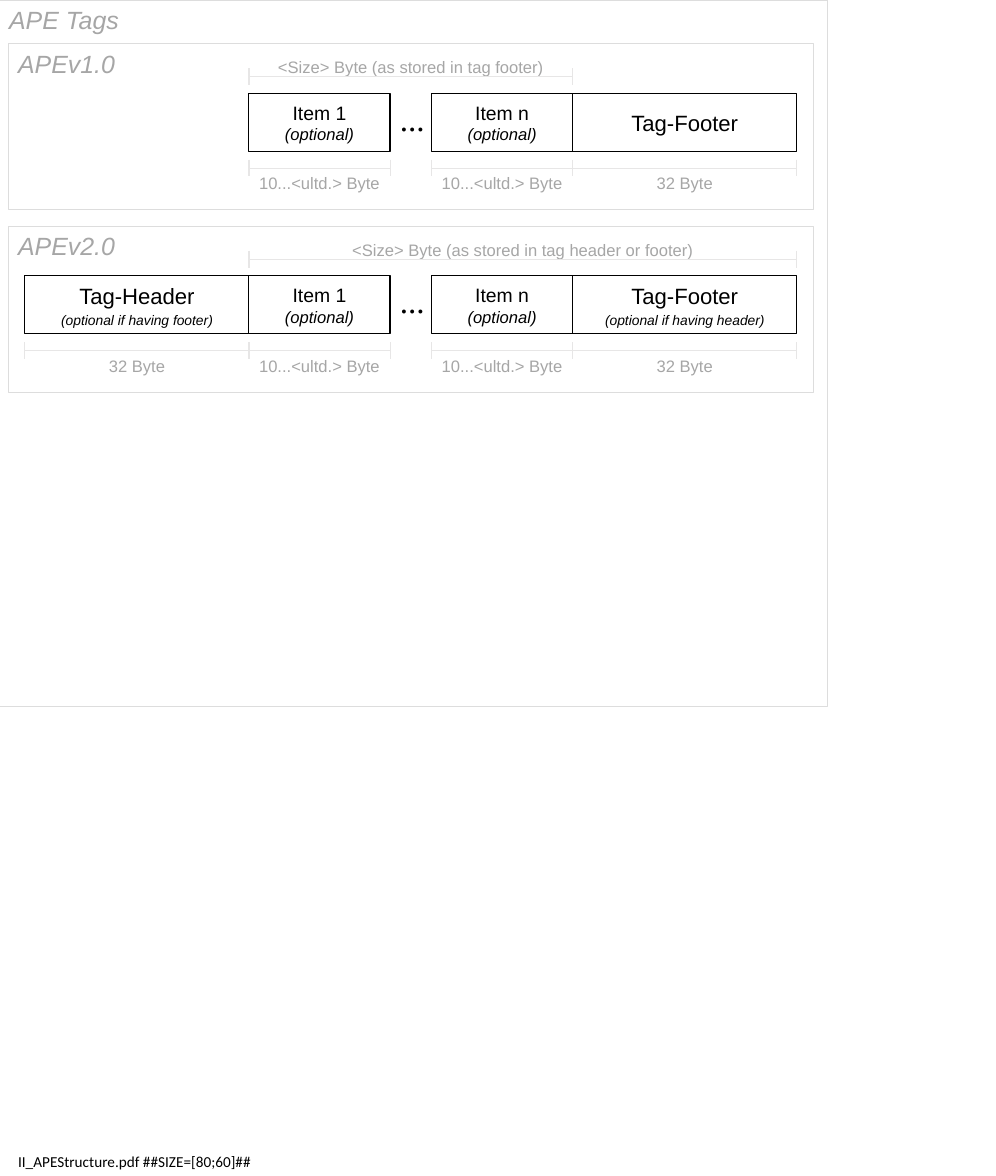
"""Build a slide comparing the byte layout of APE tags in versions 1.0 and 2.0."""
from lxml import etree
from pptx import Presentation
from pptx.dml.color import RGBColor
from pptx.enum.shapes import MSO_CONNECTOR, MSO_SHAPE
from pptx.enum.text import MSO_ANCHOR, MSO_AUTO_SIZE, PP_ALIGN
from pptx.oxml.ns import qn
from pptx.util import Inches, Pt

STRAIGHT, RECTANGLE = MSO_CONNECTOR.STRAIGHT, MSO_SHAPE.RECTANGLE
TOP, MIDDLE = MSO_ANCHOR.TOP, MSO_ANCHOR.MIDDLE
LEFT, CENTER = PP_ALIGN.LEFT, PP_ALIGN.CENTER
FIXED = MSO_AUTO_SIZE.NONE
COLORS = {"ink": "000000", "muted": "A6A6A6", "frame": "DDDDDD", "ruler": "E7E6E6"}
CELL = Inches(1) / 12


def cells(*counts):
    return [round(count * CELL) for count in counts]


def write(shape, lines, color, align=CENTER, anchor=MIDDLE, wrap=True, font="Arial"):
    frame = shape.text_frame
    settings = {"auto_size": FIXED, "word_wrap": wrap, "vertical_anchor": anchor}
    for name, value in settings.items():
        setattr(frame, name, value)
    for index, (text, size, italic) in enumerate(lines):
        para = frame.add_paragraph() if index else frame.paragraphs[0]
        para.alignment = align
        para.space_before = Pt(2 if size == 10 else 0)
        span = para.add_run()
        span.text = text
        style = {"name": font, "size": Pt(size), "italic": italic, "bold": False}
        for name, value in style.items():
            setattr(span.font, name, value)
        span.font.color.rgb = RGBColor.from_string(COLORS[color])


deck = Presentation()
deck.slide_width, deck.slide_height = Inches(10), Inches(11.81)
page = deck.slides.add_slide(deck.slide_layouts[5])
shapes = page.shapes

title = shapes.title
title.left, title.top, title.width, title.height = cells(-0.1, 0, 99.85, 85.1)
title.line.color.rgb = RGBColor.from_string(COLORS["frame"])
title.line.width = Pt(0.75)
write(title, [("APE Tags", 18, True)], "muted", LEFT, TOP)

HEADER, FIRST, LAST, FOOTER = (3, 30), (30, 47), (52, 69), (69, 96)
OPTIONAL = ("(optional)", 12, True)
ITEMS = [
    (FIRST, [("Item 1", 14, False), OPTIONAL], "10...<ultd.> Byte"),
    (LAST, [("Item n", 14, False), OPTIONAL], "10...<ultd.> Byte"),
]
VERSIONS = [
    ("APEv1.0", ITEMS + [(FOOTER, [("Tag-Footer", 16, False)], "32 Byte")],
     (30, 69), "<Size> Byte (as stored in tag footer)"),
    ("APEv2.0", [
        (HEADER, [("Tag-Header", 16, False), ("(optional if having footer)", 10, True)], "32 Byte"),
        *ITEMS,
        (FOOTER, [("Tag-Footer", 16, False), ("(optional if having header)", 10, True)], "32 Byte"),
    ], (30, 96), "<Size> Byte (as stored in tag header or footer)"),
]

for number, (version, fields, size_span, size_label) in enumerate(VERSIONS):
    top = 5.25 + 22 * number
    boxes = [((1, top, 97, 20), [(version, 18, True)], "frame", "muted", LEFT, TOP, True)]
    rulers = [(size_span, 4, 1, size_label)]
    for (start, end), lines, length in fields:
        boxes.append(((start, top + 6, end - start, 7), lines, "ink", "ink", CENTER, MIDDLE, False))
        rulers.append(((start, end), 15, 15, length))

    for place, lines, border, color, align, anchor, wrap in boxes:
        box = shapes.add_shape(RECTANGLE, *cells(*place))
        box.shadow.inherit = False
        box.fill.background()
        box.line.color.rgb = RGBColor.from_string(COLORS[border])
        box.line.width = Pt(0.75)
        write(box, lines, color, align, anchor, wrap)

    dots = shapes.add_textbox(*cells(47, top + 6, 5.4, 6))
    write(dots, [("...", 24, False)], "ink", LEFT, TOP, False, "Times New Roman")

    strokes = set()
    for (start, end), row, label_row, label in rulers:
        strokes.add((start, top + row, end, top + row))
        strokes.update((edge, top + row - 1, edge, top + row + 1) for edge in (start, end))
        caption = shapes.add_textbox(*cells(start, top + label_row, end - start, 3.64))
        write(caption, [(label, 12, False)], "muted")

    for stroke in sorted(strokes):
        ruler = shapes.add_connector(STRAIGHT, *cells(*stroke))
        ruler.line.color.rgb = RGBColor.from_string(COLORS["ruler"])
        ruler.line.width = Pt(0.75)
        etree.SubElement(ruler._element.spPr, qn("a:effectLst"))

note = shapes.add_textbox(*cells(1, 138.72, 120, 3))
write(note, [("II_APEStructure.pdf ##SIZE=[80;60]##", 11, False)], "ink", LEFT, font="Calibri")
note.text_frame.paragraphs[0].line_spacing = 0.7

deck.save("out.pptx")
